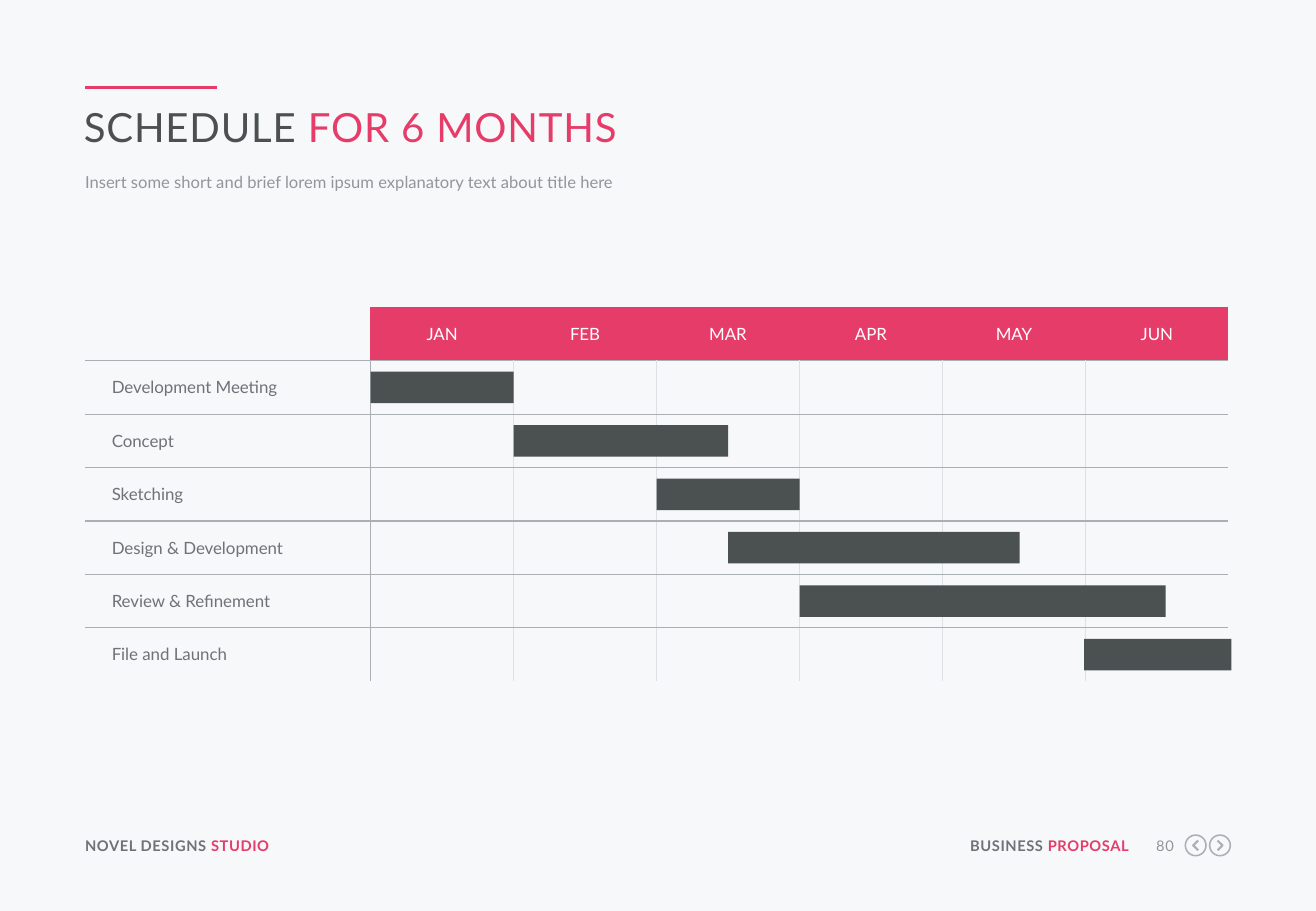
from dataclasses import dataclass
from typing import Optional

from lxml.etree import SubElement
from pptx import Presentation
from pptx.dml.color import RGBColor
from pptx.enum.shapes import MSO_CONNECTOR, MSO_SHAPE
from pptx.enum.text import MSO_ANCHOR, PP_ALIGN
from pptx.oxml.ns import qn
from pptx.slide import Slide
from pptx.table import _Cell
from pptx.util import Inches, Pt


@dataclass(frozen=True)
class Theme:
    font: str = "Lato"
    background: str = "F6F8FA"
    accent: str = "E63C69"
    dark: str = "4B5050"
    label: str = "6E7378"
    muted: str = "91969B"
    rule: str = "AAAFB4"
    grid: str = "DCE1E6"
    white: str = "FFFFFF"
    title_size: float = 23.8
    subtitle_size: float = 9.8
    table_size: float = 10
    footer_size: float = 8.7


@dataclass(frozen=True)
class Caption:
    left: float
    top: float
    width: float
    height: float
    phrases: tuple[tuple[str, str], ...]  # words and their colour
    size: float
    spacing: float = 0
    bold: bool = False
    align: PP_ALIGN = PP_ALIGN.LEFT
    leading: Optional[float] = None


@dataclass(frozen=True)
class Task:
    name: str
    start: float  # in months from the start of January
    months: float


THEME = Theme()
MONTHS = ("JAN", "FEB", "MAR", "APR", "MAY", "JUN")
TASKS = (
    Task("Development Meeting", 0, 1),
    Task("Concept", 1, 1.5),
    Task("Sketching", 2, 1),
    Task("Design & Development", 2.5, 2.04),
    Task("Review & Refinement", 3, 2.56),
    Task("File and Launch", 4.99, 1.03),
)
CAPTIONS = (
    Caption(0.69, 0.84, 9.42, 0.41,
            (("SCHEDULE ", THEME.dark), ("FOR 6 MONTHS", THEME.accent)),
            THEME.title_size, spacing=0.5),
    Caption(0.7, 1.4, 9.42, 0.21,
            (("Insert some short and brief lorem ipsum explanatory text about title here",
              THEME.muted),),
            THEME.subtitle_size, leading=13),
    Caption(0.7, 6.89, 2.11, 0.15,
            (("NOVEL DESIGNS ", THEME.label), ("STUDIO", THEME.accent)),
            THEME.footer_size, spacing=0.3, bold=True),
    Caption(7.92, 6.89, 1.37, 0.15,
            (("BUSINESS ", THEME.label), ("PROPOSAL", THEME.accent)),
            THEME.footer_size, spacing=0.3, bold=True, align=PP_ALIGN.RIGHT),
    Caption(9.41, 6.89, 0.25, 0.15, (("80", THEME.muted),),
            THEME.footer_size, spacing=0.3, align=PP_ALIGN.RIGHT),
)

# Schedule grid
TABLE_LEFT, TABLE_TOP = 0.7, 2.53
TABLE_WIDTH, NAME_WIDTH, ROW_HEIGHT = 9.41, 2.35, 0.44
MONTH_WIDTH = (TABLE_WIDTH - NAME_WIDTH) / len(MONTHS)
BAR_HEIGHT, BAR_OFFSET = 0.26, 0.09


def rgb(color: str) -> RGBColor:
    return RGBColor.from_string(color)


def add_caption(slide: Slide, caption: Caption) -> None:
    frame = slide.shapes.add_textbox(
        Inches(caption.left), Inches(caption.top),
        Inches(caption.width), Inches(caption.height)).text_frame
    frame.word_wrap = True
    frame.margin_left = frame.margin_right = frame.margin_top = frame.margin_bottom = 0
    paragraph = frame.paragraphs[0]
    paragraph.alignment = caption.align
    if caption.leading:
        paragraph.line_spacing = Pt(caption.leading)
    for words, color in caption.phrases:
        run = paragraph.add_run()
        run.text = words
        run.font.name, run.font.size = THEME.font, Pt(caption.size)
        run.font.bold = caption.bold
        run.font.color.rgb = rgb(color)
        run.font._element.set("spc", str(round(caption.spacing * 100)))


def set_borders(cell: _Cell, left: Optional[str], right: Optional[str],
                top: Optional[str], bottom: Optional[str]) -> None:
    properties = cell._tc.get_or_add_tcPr()
    for side, color in zip("LRTB", (left, right, top, bottom)):
        border = SubElement(properties, qn(f"a:ln{side}"), w=str(Pt(0.75)))
        if color:
            fill = SubElement(border, qn("a:solidFill"))
            SubElement(fill, qn("a:srgbClr"), val=color)
        else:
            SubElement(border, qn("a:noFill"))


def add_schedule(slide: Slide) -> None:
    rows, columns = len(TASKS) + 1, len(MONTHS) + 1
    table = slide.shapes.add_table(
        rows, columns, Inches(TABLE_LEFT), Inches(TABLE_TOP),
        Inches(TABLE_WIDTH), Inches(ROW_HEIGHT * rows)).table
    table.first_row = table.horz_banding = False
    for index, column in enumerate(table.columns):
        column.width = Inches(MONTH_WIDTH if index else NAME_WIDTH)
    wording = {(0, i): month for i, month in enumerate(MONTHS, 1)}
    wording |= {(i, 0): task.name for i, task in enumerate(TASKS, 1)}

    for r in range(rows):
        # Vertical edges, from the left side of the table to the right
        name_edge, month_edge = (THEME.rule, THEME.grid) if r else (THEME.accent,) * 2
        edges = [None, name_edge, *[month_edge] * (len(MONTHS) - 1), None]
        for c in range(columns):
            cell = table.cell(r, c)
            set_borders(cell, edges[c], edges[c + 1], THEME.rule if r else None,
                        THEME.rule if r < rows - 1 else None)
            cell.margin_left = Inches(0 if c else 0.22)
            cell.margin_right = cell.margin_top = cell.margin_bottom = 0
            cell.vertical_anchor = MSO_ANCHOR.MIDDLE
            is_month = r == 0 and c > 0
            if is_month:
                cell.fill.solid()
                cell.fill.fore_color.rgb = rgb(THEME.accent)
            else:
                cell.fill.background()
            cell.text_frame.text = wording.get((r, c), "")
            paragraph = cell.text_frame.paragraphs[0]
            paragraph.alignment = PP_ALIGN.CENTER if is_month else PP_ALIGN.LEFT
            font = paragraph.runs[0].font if paragraph.runs else paragraph.font
            font.name, font.size = THEME.font, Pt(THEME.table_size)
            font.color.rgb = rgb(THEME.white if is_month else THEME.label)


def add_task_bar(slide: Slide, row: int, task: Task) -> None:
    bar = slide.shapes.add_shape(
        MSO_SHAPE.RECTANGLE,
        Inches(TABLE_LEFT + NAME_WIDTH + task.start * MONTH_WIDTH),
        Inches(TABLE_TOP + row * ROW_HEIGHT + BAR_OFFSET),
        Inches(task.months * MONTH_WIDTH), Inches(BAR_HEIGHT))
    bar.shadow.inherit = False
    bar.fill.solid()
    bar.fill.fore_color.rgb = rgb(THEME.dark)
    bar.line.fill.background()


def add_page_arrow(slide: Slide, center: float, direction: int) -> None:
    middle, diameter, reach = 6.96, 0.17, 0.04
    ring = slide.shapes.add_shape(
        MSO_SHAPE.OVAL, Inches(center - diameter / 2), Inches(middle - diameter / 2),
        Inches(diameter), Inches(diameter))
    tail = Inches(center - direction * reach / 2)
    tip = Inches(center + direction * reach / 2)
    chevron = slide.shapes.build_freeform(tail, Inches(middle - reach))
    chevron.add_line_segments(
        [(tip, Inches(middle)), (tail, Inches(middle + reach))], close=False)
    for stroke, weight in ((ring, 0.9), (chevron.convert_to_shape(), 1.25)):
        stroke.shadow.inherit = False
        stroke.fill.background()
        stroke.line.color.rgb = rgb(THEME.rule)
        stroke.line.width = Pt(weight)


def add_title_rule(slide: Slide) -> None:
    rule = slide.shapes.add_connector(
        MSO_CONNECTOR.STRAIGHT, Inches(0.7), Inches(0.72), Inches(1.79), Inches(0.72))
    rule.line.color.rgb = rgb(THEME.accent)
    rule.line.width = Pt(2.25)
    SubElement(rule._element.spPr, qn("a:effectLst"))


def main() -> None:
    deck = Presentation()
    deck.slide_width, deck.slide_height = Inches(10.83), Inches(7.5)
    slide = deck.slides.add_slide(deck.slide_layouts[6])
    slide.background.fill.solid()
    slide.background.fill.fore_color.rgb = rgb(THEME.background)

    # Heading and footer
    add_title_rule(slide)
    for caption in CAPTIONS:
        add_caption(slide, caption)
    for center, direction in ((9.84, -1), (10.04, 1)):
        add_page_arrow(slide, center, direction)

    # Schedule with one bar per task
    add_schedule(slide)
    for row, task in enumerate(TASKS, 1):
        add_task_bar(slide, row, task)
    deck.save("out.pptx")


if __name__ == "__main__":
    main()
